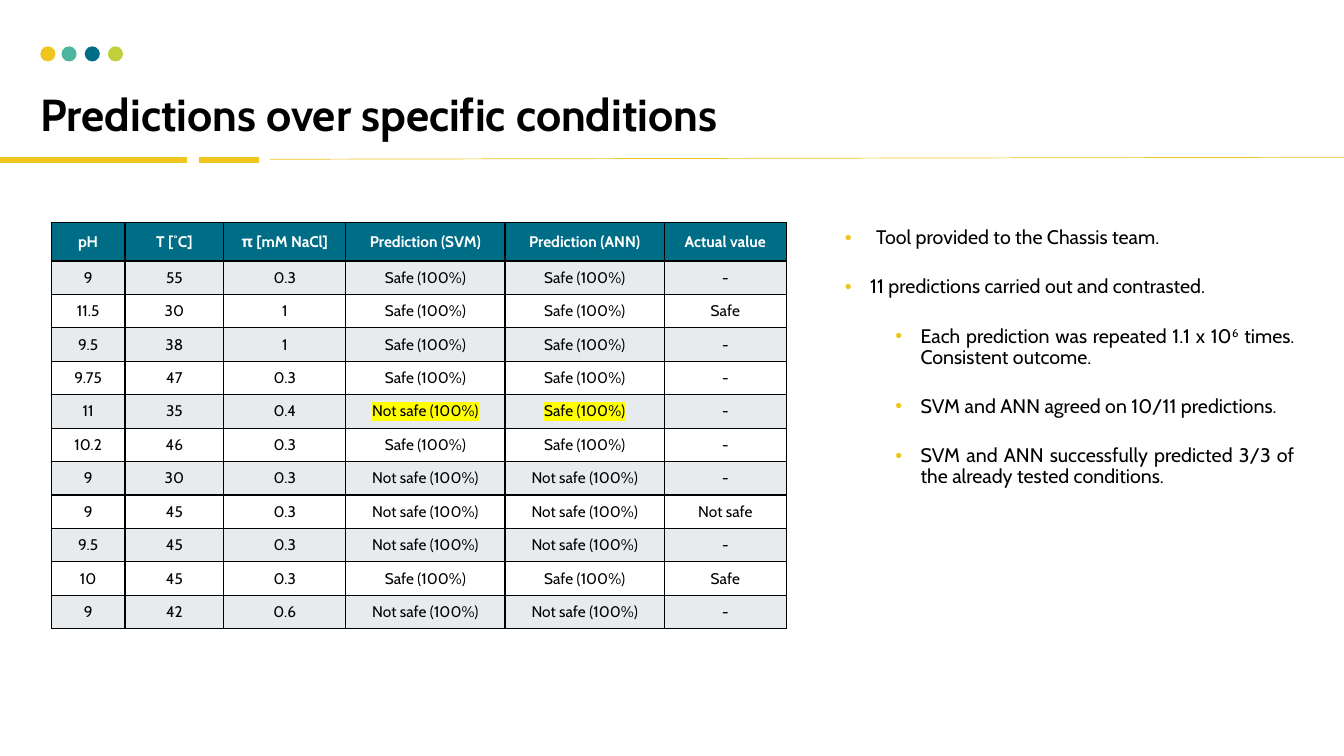
"""Build the slide on predictions over specific conditions."""
from dataclasses import dataclass
from typing import NamedTuple

from lxml import etree
from pptx import Presentation
from pptx.dml.color import RGBColor
from pptx.enum.shapes import MSO_CONNECTOR, MSO_SHAPE
from pptx.enum.text import MSO_ANCHOR, MSO_AUTO_SIZE, PP_ALIGN
from pptx.oxml.ns import qn
from pptx.util import Inches, Pt

STRAIGHT = MSO_CONNECTOR.STRAIGHT
OVAL = MSO_SHAPE.OVAL
MIDDLE, BOTTOM, TOP = MSO_ANCHOR.MIDDLE, MSO_ANCHOR.BOTTOM, MSO_ANCHOR.TOP
CENTER, LEFT, JUSTIFY = PP_ALIGN.CENTER, PP_ALIGN.LEFT, PP_ALIGN.JUSTIFY
FIXED, GROW = MSO_AUTO_SIZE.NONE, MSO_AUTO_SIZE.SHAPE_TO_FIT_TEXT


@dataclass(frozen=True)
class Theme:
    font: str = "Cabin"
    yellow: str = "EEC61D"
    green: str = "029676"
    blue: str = "006D87"
    lime: str = "C0CF3A"
    black: str = "000000"
    white: str = "FFFFFF"
    band: str = "E7EBED"
    highlight: str = "FFFF00"
    title_size: float = 32
    body_size: float = 14
    table_size: float = 11
    border: float = 1


class Rule(NamedTuple):
    start: tuple[float, float]
    end: tuple[float, float]
    width: float


class Dot(NamedTuple):
    left: float
    color: str
    opacity: int = 100


class Piece(NamedTuple):
    text: str
    baseline: int = 0


class Bullet(NamedTuple):
    pieces: list[Piece]
    level: int = 0
    margin: float = 0.75
    hanging: float = 0.25


THEME = Theme()
RULES = [
    Rule((-0.03, 1.59), (1.85, 1.59), 4.5),
    Rule((1.97, 1.59), (2.57, 1.59), 4.5),
    Rule((2.68, 1.58), (13.33, 1.56), 0.5),
]
DOTS = [
    Dot(0.4, THEME.yellow),
    Dot(0.61, THEME.green, 70),
    Dot(0.84, THEME.blue),
    Dot(1.07, THEME.lime),
]
BULLETS = [
    Bullet([Piece("Tool provided to the Chassis team.")], 0, 0.31, 0.31),
    Bullet([Piece("11 predictions carried out and contrasted.")], 0, 0.25),
    Bullet([Piece("Each prediction was repeated 1.1 x 10"), Piece("6", 30),
            Piece(" times. Consistent outcome.")], 1),
    Bullet([Piece("SVM and ANN agreed on 10/11 predictions.")], 1),
    Bullet([Piece("SVM and ANN successfully predicted 3/3 of the already tested conditions.")], 1),
]
SAFE, NOT_SAFE = "Safe (100%)", "Not safe (100%)"
COLUMN_WIDTHS = [0.73, 0.98, 1.21, 1.58, 1.58, 1.21]
HEADER_HEIGHT, TABLE_HEIGHT = 0.38, 4.03
ROWS = [
    ("pH", "T [˚C]", "π [mM NaCl]", "Prediction (SVM)", "Prediction (ANN)", "Actual value"),
    ("9", "55", "0.3", SAFE, SAFE, "-"),
    ("11.5", "30", "1", SAFE, SAFE, "Safe"),
    ("9.5", "38", "1", SAFE, SAFE, "-"),
    ("9.75", "47", "0.3", SAFE, SAFE, "-"),
    ("11", "35", "0.4", NOT_SAFE, SAFE, "-"),
    ("10.2", "46", "0.3", SAFE, SAFE, "-"),
    ("9", "30", "0.3", NOT_SAFE, NOT_SAFE, "-"),
    ("9", "45", "0.3", NOT_SAFE, NOT_SAFE, "Not safe"),
    ("9.5", "45", "0.3", NOT_SAFE, NOT_SAFE, "-"),
    ("10", "45", "0.3", SAFE, SAFE, "Safe"),
    ("9", "42", "0.6", NOT_SAFE, NOT_SAFE, "-"),
]


def add_solid(parent, tag: str, color: str):
    element = etree.SubElement(parent, qn(tag))
    etree.SubElement(element, qn("a:srgbClr"), val=color)
    return element


def add_run(paragraph, text: str, size: float, color: str = THEME.black, bold: bool = False):
    run = paragraph.add_run()
    run.text = text
    run.font.size = Pt(size)
    run.font.bold = bold
    run.font.color.rgb = RGBColor.from_string(color)
    run.font.name = THEME.font
    return run


def place(shape, left: float, top: float, width: float, height: float) -> None:
    shape.left, shape.top = Inches(left), Inches(top)
    shape.width, shape.height = Inches(width), Inches(height)


def draw_rule(slide, rule: Rule) -> None:
    points = [Inches(value) for value in rule.start + rule.end]
    connector = slide.shapes.add_connector(STRAIGHT, *points)
    connector.line.color.rgb = RGBColor.from_string(THEME.yellow)
    connector.line.width = Pt(rule.width)
    etree.SubElement(connector._element.spPr, qn("a:effectLst"))


def draw_dot(slide, dot: Dot) -> None:
    shape = slide.shapes.add_shape(OVAL, Inches(dot.left), Inches(0.46), Inches(0.15), Inches(0.15))
    shape.shadow.inherit = False
    shape.fill.solid()
    shape.fill.fore_color.rgb = RGBColor.from_string(dot.color)
    shape.line.fill.background()
    if dot.opacity < 100:
        color = shape._element.spPr.find(f"{qn('a:solidFill')}/{qn('a:srgbClr')}")
        etree.SubElement(color, qn("a:alpha"), val=str(dot.opacity * 1000))


def write_title(title) -> None:
    place(title, 0.4, 0.27, 12.54, 1.13)
    frame = title.text_frame
    frame.auto_size, frame.vertical_anchor, frame.word_wrap = FIXED, BOTTOM, True
    frame.margin_left = frame.margin_right = frame.margin_top = frame.margin_bottom = 0
    paragraph = frame.paragraphs[0]
    paragraph.alignment, paragraph.line_spacing = LEFT, 0.9
    add_run(paragraph, "Predictions over specific conditions", THEME.title_size, bold=True)


def write_bullets(body) -> None:
    place(body, 8.28, 2.21, 4.66, 3.15)
    frame = body.text_frame
    frame.auto_size, frame.vertical_anchor, frame.word_wrap = GROW, TOP, True
    for index, bullet in enumerate(BULLETS):
        paragraph = frame.add_paragraph() if index else frame.paragraphs[0]
        paragraph.level, paragraph.alignment = bullet.level, JUSTIFY
        paragraph.line_spacing = 0.9
        paragraph.space_before, paragraph.space_after = Pt(10 if index else 0), Pt(10)
        properties = paragraph._p.get_or_add_pPr()
        properties.set("marL", str(Inches(bullet.margin)))
        properties.set("indent", str(-Inches(bullet.hanging)))
        add_solid(properties, "a:buClr", THEME.yellow)
        etree.SubElement(properties, qn("a:buChar"), char="•")
        for piece in bullet.pieces:
            run = add_run(paragraph, piece.text, THEME.body_size)
            if piece.baseline:
                run._r.get_or_add_rPr().set("baseline", str(piece.baseline * 1000))


def format_cell(cell, text: str, fill: str, header: bool, marked: bool) -> None:
    cell.vertical_anchor = MIDDLE
    cell.margin_left = cell.margin_right = Inches(0.07)
    cell.margin_top = cell.margin_bottom = 0
    for side in ("a:lnL", "a:lnR", "a:lnT", "a:lnB"):
        line = etree.SubElement(cell._tc.get_or_add_tcPr(), qn(side), w=str(Pt(THEME.border)))
        add_solid(line, "a:solidFill", THEME.black)
    cell.fill.solid()
    cell.fill.fore_color.rgb = RGBColor.from_string(fill)
    paragraph = cell.text_frame.paragraphs[0]
    paragraph.alignment = CENTER
    run = add_run(paragraph, text, THEME.table_size, THEME.white if header else THEME.black, header)
    if marked:
        properties = run._r.get_or_add_rPr()
        mark = add_solid(properties, "a:highlight", THEME.highlight)
        properties.find(qn("a:solidFill")).addnext(mark)


def draw_table(slide) -> None:
    table = slide.shapes.add_table(len(ROWS), len(COLUMN_WIDTHS), Inches(0.51), Inches(2.21),
                                   Inches(sum(COLUMN_WIDTHS)), Inches(TABLE_HEIGHT)).table
    table.horz_banding = False
    for column, width in zip(table.columns, COLUMN_WIDTHS):
        column.width = Inches(width)
    row_height = (TABLE_HEIGHT - HEADER_HEIGHT) / (len(ROWS) - 1)
    for row_index, values in enumerate(ROWS):
        header = row_index == 0
        table.rows[row_index].height = Inches(HEADER_HEIGHT if header else row_height)
        fill = THEME.blue if header else THEME.band if row_index % 2 else THEME.white
        disagree = not header and values[3] != values[4]
        for column_index, text in enumerate(values):
            marked = disagree and column_index in (3, 4)
            format_cell(table.cell(row_index, column_index), text, fill, header, marked)


def main() -> None:
    presentation = Presentation()
    presentation.slide_width, presentation.slide_height = Inches(13.33), Inches(7.5)
    slide = presentation.slides.add_slide(presentation.slide_layouts[1])
    for rule in RULES:
        draw_rule(slide, rule)
    for dot in DOTS:
        draw_dot(slide, dot)
    write_title(slide.shapes.title)
    draw_table(slide)
    write_bullets(slide.placeholders[1])
    presentation.save("out.pptx")


if __name__ == "__main__":
    main()
